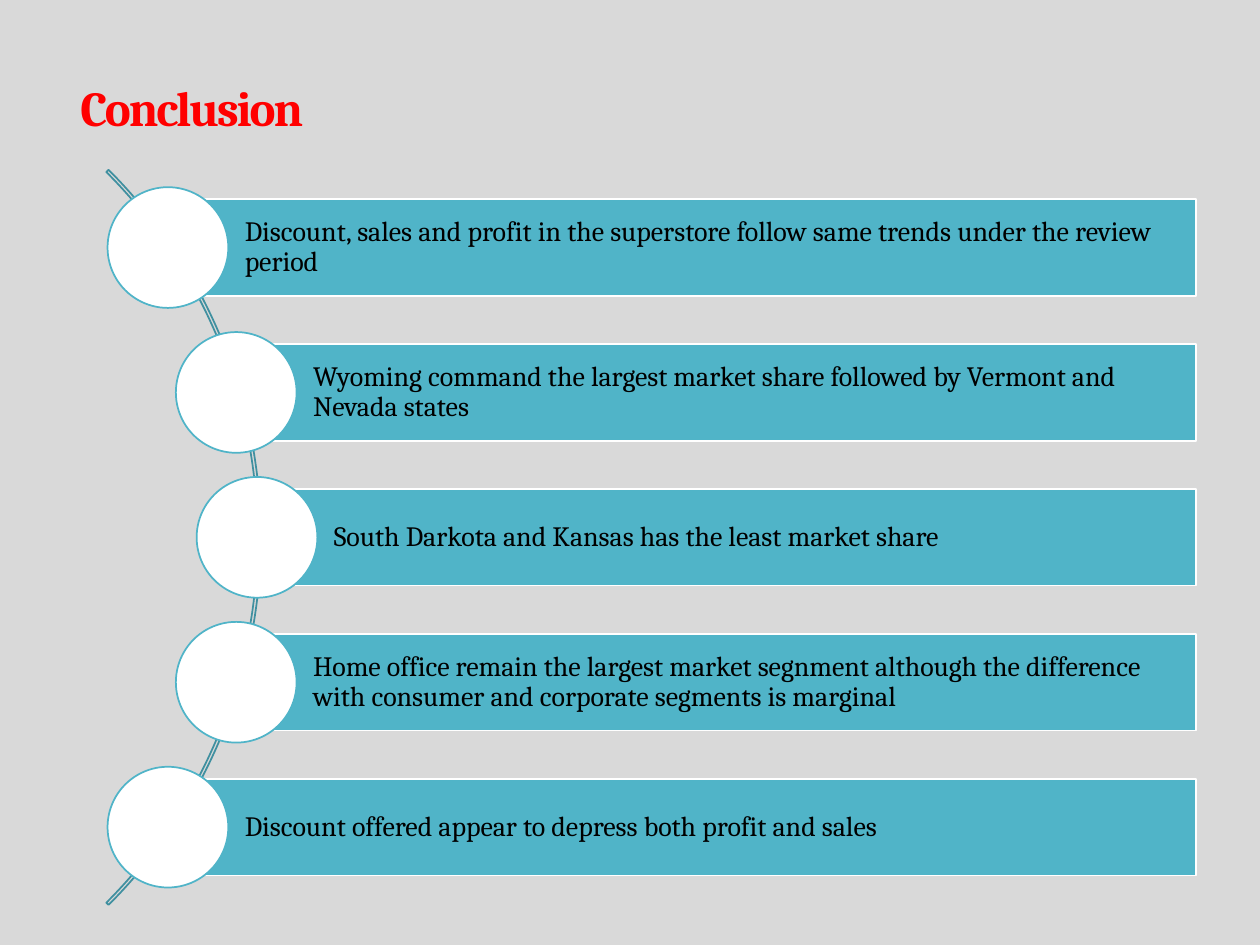
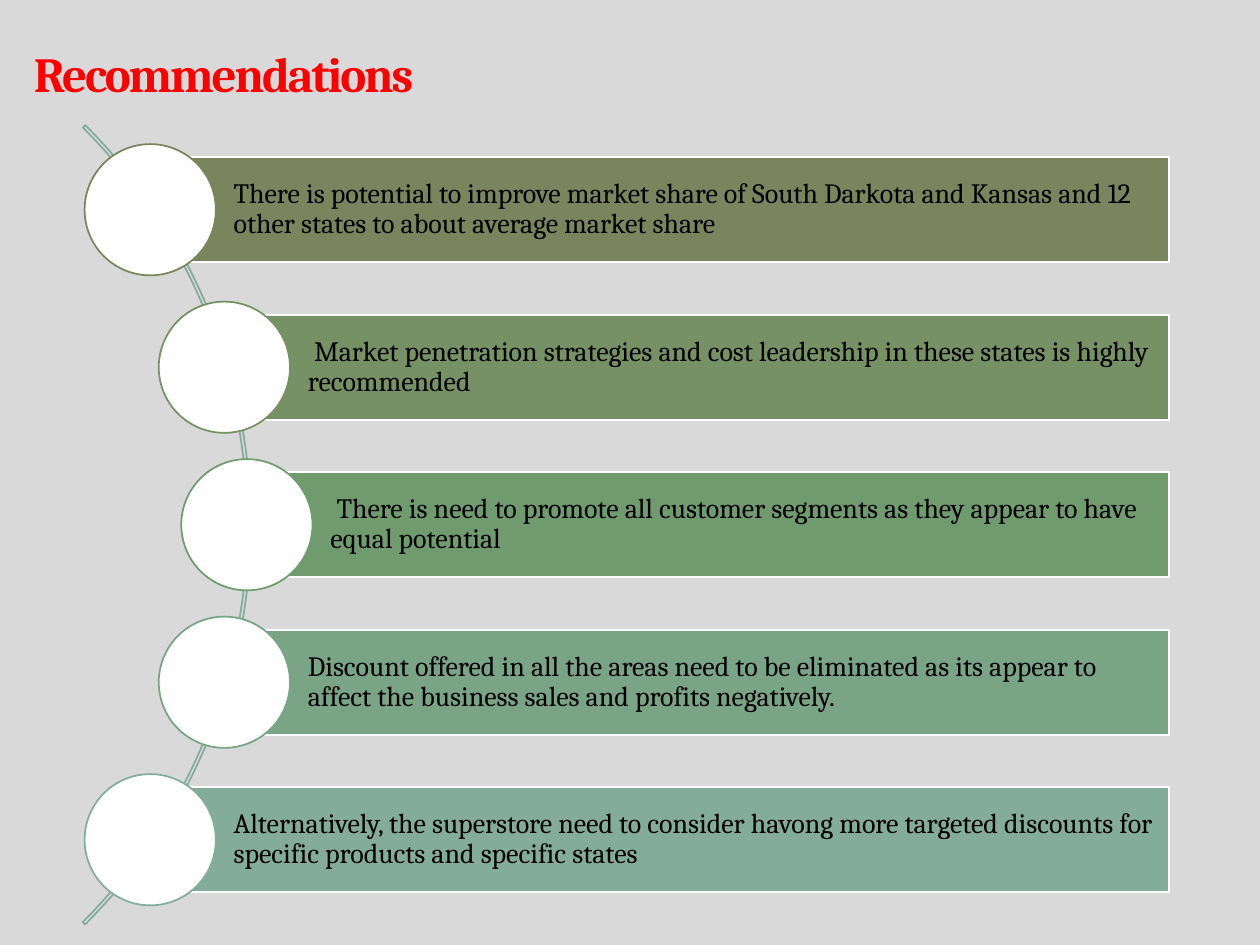
import math
import pptx
import pptx.util
import pptx.dml.color
import pptx.enum.shapes
import pptx.enum.text

Pt = pptx.util.Pt
Shape = pptx.enum.shapes.MSO_SHAPE
Align = pptx.enum.text.PP_ALIGN
Anchor = pptx.enum.text.MSO_ANCHOR

# Shared look
WIDTH, HEIGHT = pptx.util.Inches(10), pptx.util.Inches(7.5)
UNIT = WIDTH / 10  # one grid column
GREY, RED, BLACK, WHITE = "D9D9D9", "FF0000", "000000", "FFFFFF"
TITLE_FONT = {"name": "Cambria", "size": Pt(28), "bold": True}
BODY_FONT = {"name": "Cambria", "size": Pt(16), "bold": False}
PARAGRAPH = {"alignment": Align.LEFT, "line_spacing": 0.9}

# Title places are shares of the slide; list lengths are grid columns
slides = [
    {
        "title": "Conclusion",
        "title_place": (0.054, 0.073, 0.884, 0.087),
        "row": 1.15, "middle": 4.265, "right": 9.49,
        "arc_left": -6.18, "arc_size": 8.25, "arc_colour": "4090A0",
        "colours": ["50B4C8"] * 5,
        "points": [
            "Discount, sales and profit in the superstore follow same trends under the review period",
            "Wyoming command the largest market share followed by Vermont and Nevada states",
            "South Darkota and Kansas has the least market share",
            "Home office remain the largest market segnment although the difference "
            "with consumer and corporate segments is marginal",
            "Discount offered appear to depress both profit and sales",
        ],
    },
    {
        "title": "Recommendations",
        "title_place": (0.017, 0.023, 0.946, 0.116),
        "row": 1.25, "middle": 4.165, "right": 9.28,
        "arc_left": -6.98, "arc_size": 8.97, "arc_colour": "84AC9D",
        "colours": ["7A855D", "769164", "709B6E", "79A485", "84AC9D"],
        "points": [
            "There is potential to improve market share of South Darkota and Kansas and 12 "
            "other states to about average market share",
            " Market penetration strategies and cost leadership in these states is highly recommended",
            " There is need to promote all customer segments as they appear to have equal potential",
            "Discount offered in all the areas need to be eliminated as its appear to "
            "affect the business sales and profits negatively.",
            "Alternatively, the superstore need to consider havong more targeted discounts for "
            "specific products and specific states",
        ],
    },
]


def paint(target, colour):
    """Give a fill a solid colour, or a font or line its colour."""
    if hasattr(target, "solid"):
        target.solid()
        target = target.fore_color
    else:
        target = target.color
    target.rgb = pptx.dml.color.RGBColor.from_string(colour)


def write(box, text, font, colour, insets):
    """Put one left-aligned, vertically centred paragraph in a box."""
    frame = box.text_frame
    frame.word_wrap = True
    frame.vertical_anchor = Anchor.MIDDLE
    for side, inset in zip(("left", "top", "right", "bottom"), insets):
        setattr(frame, "margin_" + side, round(inset * UNIT))
    para = frame.paragraphs[0]
    for name, value in PARAGRAPH.items():
        setattr(para, name, value)
    span = para.add_run()
    span.text = text
    for name, value in font.items():
        setattr(span.font, name, value)
    paint(span.font, colour)
    return span


deck = pptx.Presentation()
deck.slide_width, deck.slide_height = WIDTH, HEIGHT

for content in slides:
    page = deck.slides.add_slide(deck.slide_layouts[6])
    paint(page.background.fill, GREY)

    # Title
    left, top, width, height = content["title_place"]
    title = page.shapes.add_textbox(round(left * WIDTH), round(top * HEIGHT),
                                    round(width * WIDTH), round(height * HEIGHT))
    span = write(title, content["title"], TITLE_FONT, RED, (0.1, 0.05, 0.1, 0.05))
    span.font._element.set("spc", "-120")

    # Every part as kind, place, fill, line and text: the arc comes first
    row, middle, right = content["row"], content["middle"], content["right"]
    radius = content["arc_size"] / 2
    arc_centre = content["arc_left"] + radius
    parts = [(Shape.BLOCK_ARC, content["arc_left"], middle - radius,
              2 * radius, 2 * radius, None, content["arc_colour"], None)]

    # One bar and one circle a row, centred on the arc
    bar_height, circle = row * 2 / 3, row * 5 / 6
    for index, (point, colour) in enumerate(zip(content["points"], content["colours"])):
        offset = (index - 2) * row
        x = arc_centre + math.sqrt((radius - 0.03) ** 2 - offset ** 2)
        y = middle + offset
        parts.append((Shape.RECTANGLE, x, y - bar_height / 2,
                      right - x, bar_height, colour, WHITE, point))
        parts.append((Shape.OVAL, x - circle / 2, y - circle / 2,
                      circle, circle, WHITE, colour, None))

    # Draw the parts from back to front
    for kind, left, top, width, height, fill, line, text in parts:
        shape = page.shapes.add_shape(
            kind, *(round(length * UNIT) for length in (left, top, width, height)))
        shape.shadow.inherit = False
        shape.line.width = Pt(1)
        paint(shape.line, line)
        if fill:
            paint(shape.fill, fill)
        else:
            shape.fill.background()
        if kind == Shape.BLOCK_ARC:
            for index, value in enumerate((189, 27, 0.003)):
                shape.adjustments[index] = value
        if text:
            write(shape, text, BODY_FONT, BLACK, (0.53 * row, 0.04, 0.04, 0.04))

deck.save("out.pptx")
